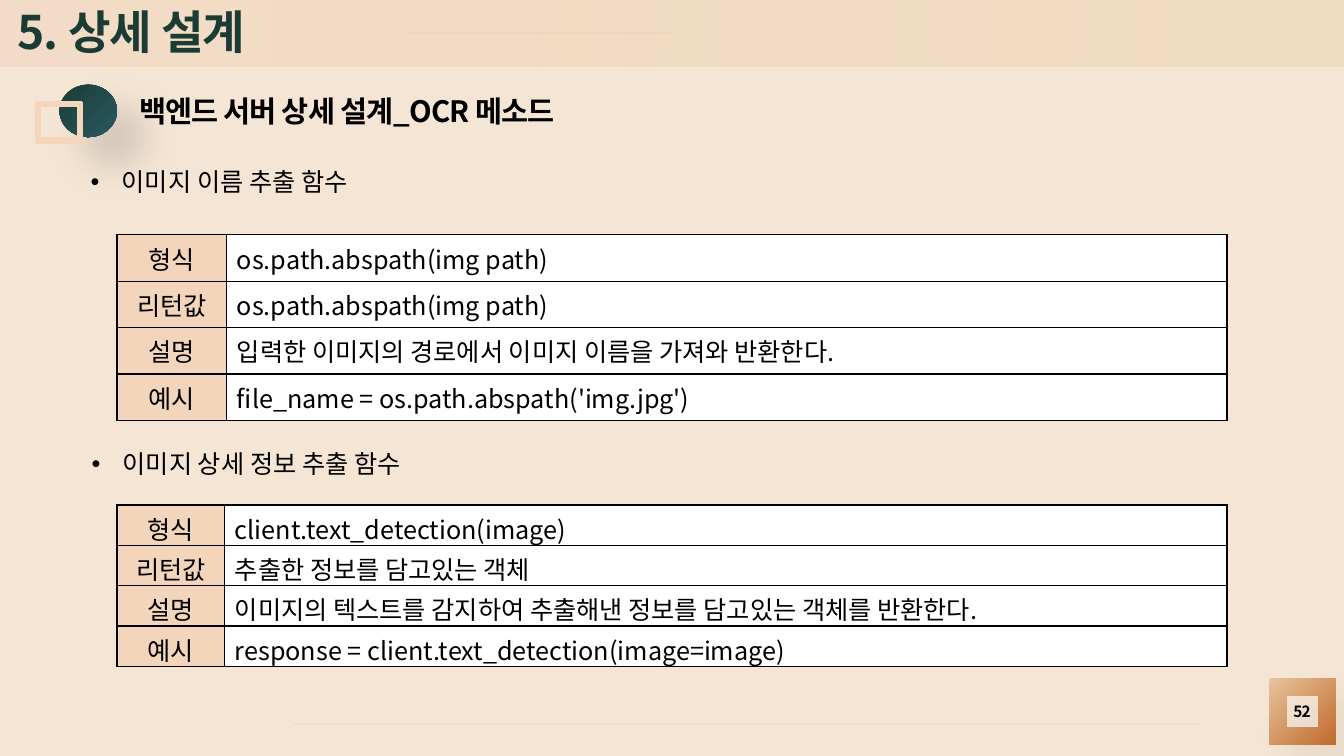
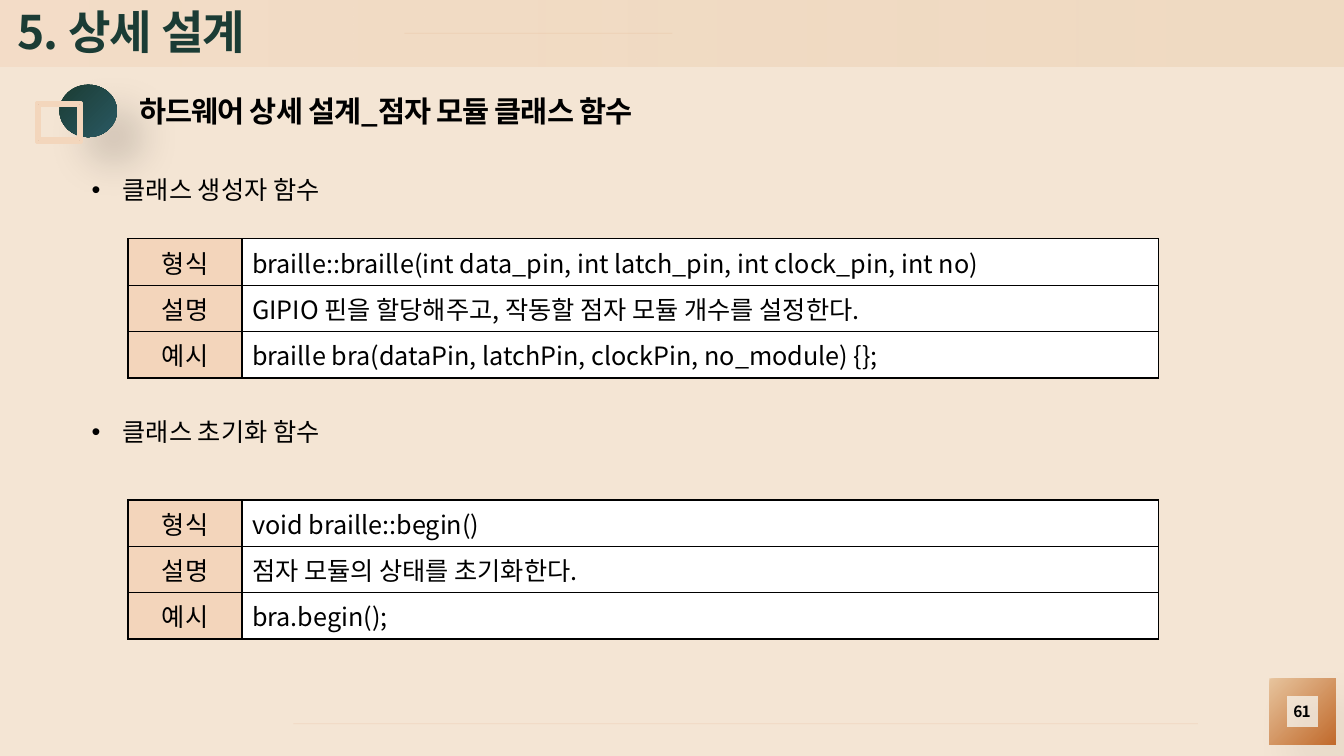
from lxml import etree
from pptx import Presentation
from pptx.dml.color import RGBColor
from pptx.enum.shapes import MSO_CONNECTOR, MSO_SHAPE
from pptx.enum.text import MSO_ANCHOR, PP_ALIGN
from pptx.oxml.ns import qn
from pptx.util import Emu, Inches, Pt

FONT = "Noto Sans CJK KR"
SECTION = "5. 상세 설계"
COLORS = {
    "background": "F4E5D4",
    "sand": "E7C49D",
    "peach": "F3D5BB",
    "rust": "C16A2C",
    "rule": "E3AB83",
    "title": "1B3C35",
    "deep_green": "1B3C33",
    "teal": "2A5963",
    "frame_fill": "E4C2A9",
    "frame_line": "F3D6BC",
    "black": "000000",
    "white": "FFFFFF",
}


def color(name):
    return RGBColor.from_string(COLORS[name])


def set_alpha(color_element, percent):
    etree.SubElement(color_element, qn("a:alpha"), val=str(percent * 1000))


def style_paragraph(paragraph, size, color_name="black", bold=False, spacing=0):
    for run in paragraph.runs:
        font = run.font
        font.size = Pt(size)
        font.bold = bold
        font.name = FONT
        font.color.rgb = color(color_name)
        properties = run._r.get_or_add_rPr()
        properties.set("spc", str(round(spacing * 100)))
        east_asian = etree.SubElement(properties, qn("a:ea"))
        east_asian.set("typeface", FONT)


def add_label(slide, box, text, size, color_name="black", align=PP_ALIGN.LEFT):
    """Add bold text without margins, centred vertically in its box."""
    frame = slide.shapes.add_textbox(*map(Inches, box)).text_frame
    frame.word_wrap = True
    frame.vertical_anchor = MSO_ANCHOR.MIDDLE
    frame.margin_left = frame.margin_right = 0
    frame.margin_top = frame.margin_bottom = 0
    frame.text = text
    paragraph = frame.paragraphs[0]
    paragraph.alignment = align
    style_paragraph(paragraph, size, color_name, bold=True, spacing=-0.6)


def add_plain_shape(slide, kind, box, adjustment=None):
    shape = slide.shapes.add_shape(kind, *map(Inches, box))
    shape.shadow.inherit = False
    shape.line.fill.background()
    if adjustment is not None:
        shape.adjustments[0] = adjustment
    return shape


def fill_gradient(shape, names, angle, alphas=()):
    """Fill with two colours; the angle runs counterclockwise."""
    shape.fill.gradient()
    shape.fill.gradient_angle = angle
    for stop, name, position in zip(shape.fill.gradient_stops, names, (0, 1)):
        stop.color.rgb = color(name)
        stop.position = position
    for element, alpha in zip(shape._element.spPr.iter(qn("a:srgbClr")), alphas):
        set_alpha(element, alpha)


def add_soft_shadow(shape, alpha):
    effects = shape._element.spPr.find(qn("a:effectLst"))
    shadow = etree.SubElement(
        effects, qn("a:outerShdw"), blurRad=str(Pt(30)), dist=str(Pt(26)),
        dir=str(45 * 60000), algn="tl", rotWithShape="0")
    shadow_color = etree.SubElement(shadow, qn("a:srgbClr"), val=COLORS["black"])
    set_alpha(shadow_color, alpha)


def add_rule(slide, left, right, y):
    rule = slide.shapes.add_connector(
        MSO_CONNECTOR.STRAIGHT, Inches(left), Inches(y), Inches(right), Inches(y))
    rule.line.width = Pt(0.5)
    rule.line.color.rgb = color("rule")
    properties = rule._element.spPr
    set_alpha(next(properties.iter(qn("a:srgbClr"))), 24)
    etree.SubElement(properties, qn("a:effectLst"))


def add_base(slide, page):
    """Add the title band, rules and page tile shared by all slides."""
    band = add_plain_shape(slide, MSO_SHAPE.FRAME, (0, 0, 13.33, 0.66), 0.5)
    fill_gradient(band, ("sand", "peach"), 180, (31, 50))
    add_rule(slide, 4.01, 6.67, 0.33)
    tile = add_plain_shape(slide, MSO_SHAPE.FRAME, (12.59, 6.73, 0.66, 0.66), 0.265)
    fill_gradient(tile, ("sand", "rust"), 315)
    add_soft_shadow(tile, 8)
    add_rule(slide, 2.91, 11.88, 7.18)
    add_label(slide, (0.17, 0, 8.54, 0.62), SECTION, 33, "title")
    add_label(slide, (12.6, 6.95, 0.63, 0.22), str(page), 11, align=PP_ALIGN.CENTER)


def add_heading(slide, text):
    disc = add_plain_shape(slide, MSO_SHAPE.OVAL, (0.59, 0.84, 0.57, 0.52))
    fill_gradient(disc, ("deep_green", "teal"), 315)
    add_soft_shadow(disc, 17)
    frame = add_plain_shape(slide, MSO_SHAPE.FRAME, (0.36, 1.02, 0.45, 0.39), 0.078)
    frame.fill.solid()
    frame.fill.fore_color.rgb = color("frame_fill")
    frame.line.color.rgb = color("frame_line")
    frame.line.width = Pt(2.25)
    add_label(slide, (1.38, 0.91, 6.57, 0.37), text, 21)


def add_bullet(slide, left, top, text):
    box = slide.shapes.add_textbox(
        Inches(left), Inches(top), Inches(5.87), Inches(0.4))
    frame = box.text_frame
    frame.word_wrap = True
    frame.text = text
    paragraph = frame.paragraphs[0]
    properties = paragraph._p.get_or_add_pPr()
    properties.set("marL", str(Inches(0.31)))
    properties.set("indent", str(-Inches(0.31)))
    etree.SubElement(properties, qn("a:buFont"), typeface="Arial")
    etree.SubElement(properties, qn("a:buChar"), char="•")
    style_paragraph(paragraph, 18)


def add_borders(cell):
    properties = cell._tc.get_or_add_tcPr()
    for side in ("lnL", "lnR", "lnT", "lnB"):
        line = etree.SubElement(properties, qn(f"a:{side}"), w=str(Pt(1)))
        fill = etree.SubElement(line, qn("a:solidFill"))
        etree.SubElement(fill, qn("a:srgbClr"), val=COLORS["black"])


def add_spec_table(slide, left, top, widths, rows, row_height=0.46, bottom=0.05):
    """Add a table of label and text rows."""
    table = slide.shapes.add_table(
        len(rows), 2, Inches(left), Inches(top),
        Inches(sum(widths)), Inches(row_height * len(rows))).table
    table.first_row = table.horz_banding = False
    for column, width in zip(table.columns, widths):
        column.width = Inches(width)
    styles = (("peach", PP_ALIGN.CENTER), ("white", PP_ALIGN.LEFT))
    for row, texts in zip(table.rows, rows):
        row.height = Emu(Inches(row_height))
        for cell, text, (fill, align) in zip(row.cells, texts, styles):
            add_borders(cell)
            cell.fill.solid()
            cell.fill.fore_color.rgb = color(fill)
            cell.margin_bottom = Inches(bottom)
            cell.text = text
            paragraph = cell.text_frame.paragraphs[0]
            paragraph.alignment = align
            style_paragraph(paragraph, 18)


def add_slide(presentation, page, heading):
    slide = presentation.slides.add_slide(presentation.slide_layouts[6])
    slide.background.fill.solid()
    slide.background.fill.fore_color.rgb = color("background")
    add_base(slide, page)
    add_heading(slide, heading)
    return slide


def add_ocr_slide(presentation):
    slide = add_slide(presentation, 52, "백엔드 서버 상세 설계_OCR 메소드")
    add_bullet(slide, 0.8, 1.6, "이미지 이름 추출 함수")
    add_spec_table(slide, 1.16, 2.33, (1.09, 9.92), [
        ("형식", "os.path.abspath(img path)"),
        ("리턴값", "os.path.abspath(img path)"),
        ("설명", "입력한 이미지의 경로에서 이미지 이름을 가져와 반환한다."),
        ("예시", "file_name = os.path.abspath('img.jpg')"),
    ])
    add_bullet(slide, 0.81, 4.4, "이미지 상세 정보 추출 함수")
    add_spec_table(slide, 1.16, 5.01, (1.07, 9.94), [
        ("형식", "client.text_detection(image)"),
        ("리턴값", "추출한 정보를 담고있는 객체"),
        ("설명", "이미지의 텍스트를 감지하여 추출해낸 정보를 담고있는 객체를 반환한다."),
        ("예시", "response = client.text_detection(image=image)"),
    ], row_height=0.4, bottom=0)


def add_braille_slide(presentation):
    slide = add_slide(presentation, 61, "하드웨어 상세 설계_점자 모듈 클래스 함수")
    widths = (1.13, 9.09)
    add_bullet(slide, 0.81, 1.68, "클래스 생성자 함수")
    add_spec_table(slide, 1.27, 2.37, widths, [
        ("형식", "braille::braille(int data_pin, int latch_pin, int clock_pin, int no)"),
        ("설명", "GIPIO 핀을 할당해주고, 작동할 점자 모듈 개수를 설정한다."),
        ("예시", "braille bra(dataPin, latchPin, clockPin, no_module) {};"),
    ])
    add_bullet(slide, 0.81, 4.08, "클래스 초기화 함수")
    add_spec_table(slide, 1.27, 4.96, widths, [
        ("형식", "void braille::begin()"),
        ("설명", "점자 모듈의 상태를 초기화한다."),
        ("예시", "bra.begin();"),
    ])


def main():
    presentation = Presentation()
    presentation.slide_width = Inches(13.33)
    presentation.slide_height = Inches(7.5)
    add_ocr_slide(presentation)
    add_braille_slide(presentation)
    presentation.save("out.pptx")


if __name__ == "__main__":
    main()
